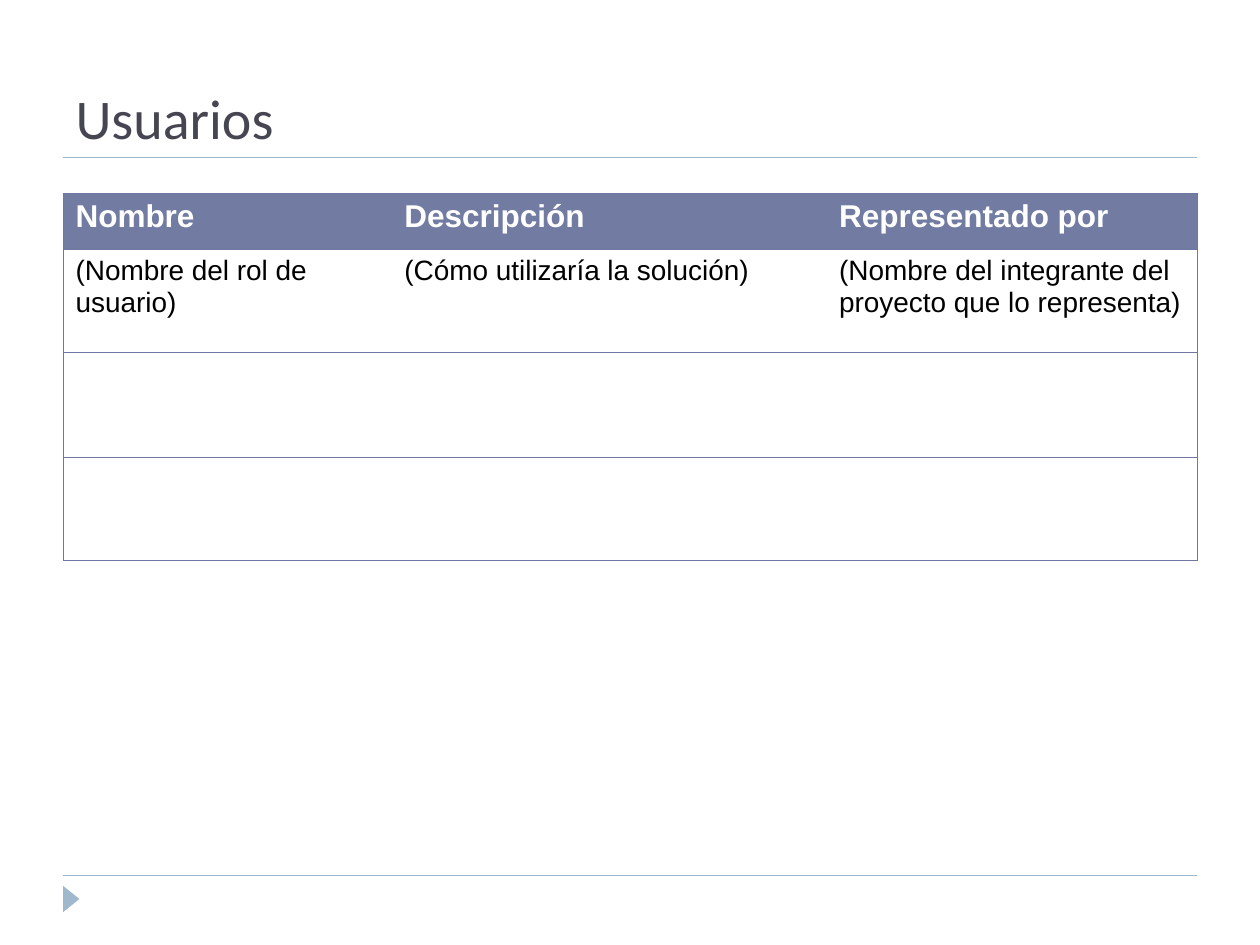
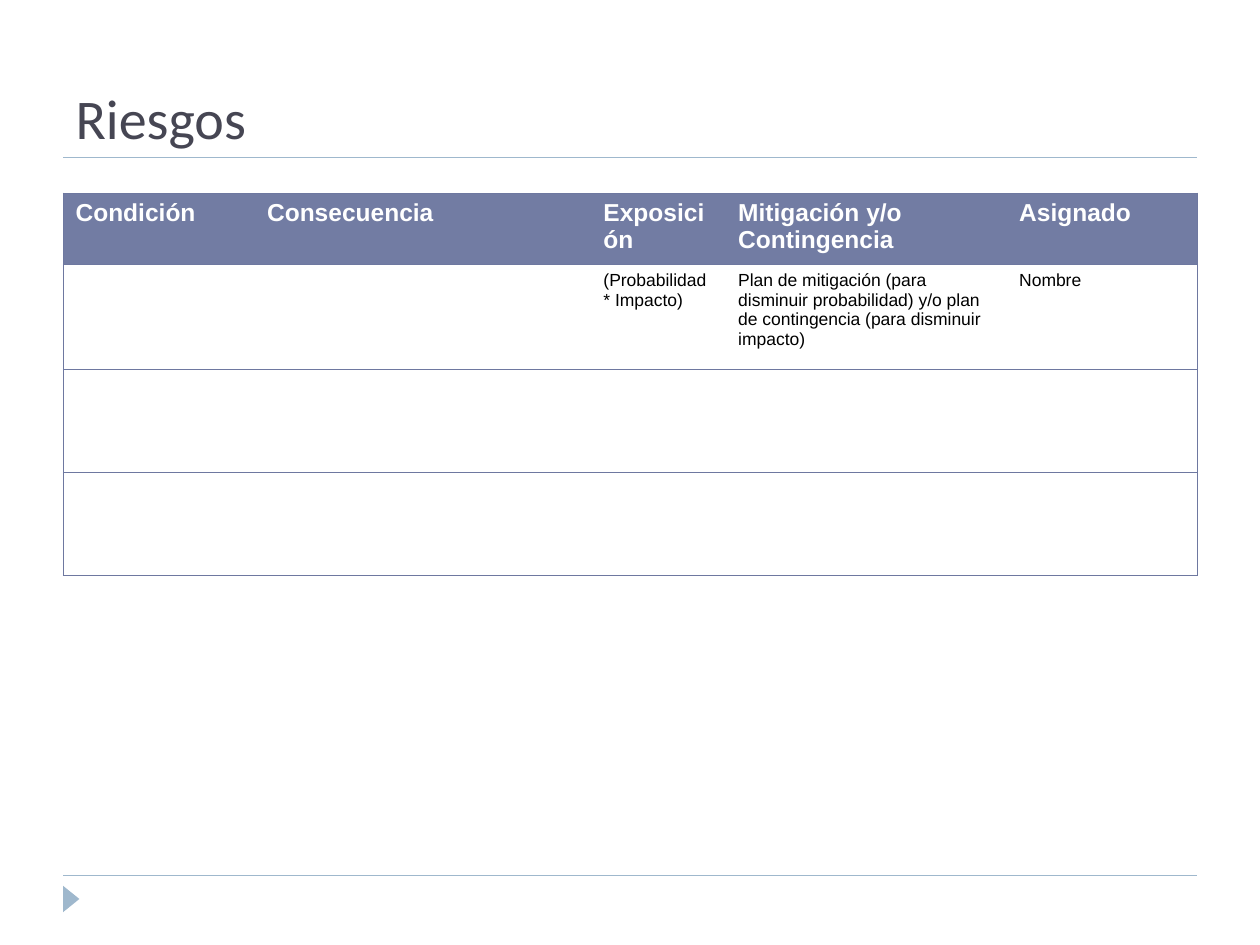
from lxml import etree
from pptx import Presentation
from pptx.dml.color import RGBColor
from pptx.enum.shapes import MSO_CONNECTOR, MSO_SHAPE
from pptx.enum.text import MSO_ANCHOR, PP_ALIGN
from pptx.oxml.ns import qn
from pptx.util import Inches, Pt

STRAIGHT = MSO_CONNECTOR.STRAIGHT
TRIANGLE = MSO_SHAPE.ISOSCELES_TRIANGLE
BOTTOM = MSO_ANCHOR.BOTTOM
LEFT = PP_ALIGN.LEFT

TITLE_ONLY = 5
MARGIN = 0.5
CONTENT_WIDTH = 9
TABLE_TOP = 1.53
TITLE_RULE = 1.25
FOOTER_RULE = 6.95
TITLE_FONT = "Calibri"
TABLE_FONT = "Arial"
TITLE_COLOR = "464653"
ACCENT = "9FB8CD"
HEADER_FILL = "727CA3"
BORDER = "6E78A0"
WHITE = "FFFFFF"
BLACK = "000000"


def rgb(value):
    return RGBColor.from_string(value)


def format_font(paragraph, name, size, color, bold=False):
    font = paragraph.font
    font.name = name
    font.size = Pt(size)
    font.bold = bold
    font.color.rgb = rgb(color)


def add_rule(slide, y):
    rule = slide.shapes.add_connector(
        STRAIGHT, Inches(MARGIN), Inches(y),
        Inches(MARGIN + CONTENT_WIDTH), Inches(y))
    rule.line.color.rgb = rgb(ACCENT)
    rule.line.width = Pt(0.75)
    etree.SubElement(rule._element.spPr, qn("a:effectLst"))


def add_footer_marker(slide):
    marker = slide.shapes.add_shape(
        TRIANGLE, Inches(0.46), Inches(7.07), Inches(0.21), Inches(0.13))
    marker.rotation = 90
    marker.shadow.inherit = False
    marker.fill.solid()
    marker.fill.fore_color.rgb = rgb(ACCENT)
    marker.line.fill.background()


def add_titled_slide(prs, heading):
    slide = prs.slides.add_slide(prs.slide_layouts[TITLE_ONLY])
    for y in (FOOTER_RULE, TITLE_RULE):
        add_rule(slide, y)
    add_footer_marker(slide)
    title = slide.shapes.title
    title.left, title.top = Inches(MARGIN), Inches(0.17)
    title.width, title.height = Inches(CONTENT_WIDTH), Inches(1.08)
    title.text_frame.text = heading
    title.text_frame.vertical_anchor = BOTTOM
    paragraph = title.text_frame.paragraphs[0]
    paragraph.alignment = LEFT
    format_font(paragraph, TITLE_FONT, 32, TITLE_COLOR)
    return slide


def set_borders(cell, visible_sides):
    properties = cell._tc.get_or_add_tcPr()
    for side in "LRTB":
        line = etree.SubElement(properties, qn(f"a:ln{side}"), w=str(Pt(0.34)))
        if side in visible_sides:
            fill = etree.SubElement(line, qn("a:solidFill"))
            etree.SubElement(fill, qn("a:srgbClr"), val=BORDER)
        else:
            etree.SubElement(line, qn("a:noFill"))


def fill_cell(cell, text, is_header, size):
    if is_header:
        cell.fill.solid()
        cell.fill.fore_color.rgb = rgb(HEADER_FILL)
    else:
        cell.fill.background()
    if text:
        cell.text = text
        color = WHITE if is_header else BLACK
        format_font(cell.text_frame.paragraphs[0], TABLE_FONT, size, color, is_header)


def add_register(slide, rows, widths, heights, header_size, body_size):
    table = slide.shapes.add_table(
        len(heights), len(widths), Inches(MARGIN), Inches(TABLE_TOP),
        Inches(CONTENT_WIDTH), Inches(sum(heights))).table
    table.horz_banding = False
    for column, width in zip(table.columns, widths):
        column.width = Inches(width)
    last = len(widths) - 1
    for r, height in enumerate(heights):
        table.rows[r].height = Inches(height)
        texts = rows[r] if r < len(rows) else [""] * len(widths)
        for c, text in enumerate(texts):
            cell = table.cell(r, c)
            sides = "TB" + ("L" if c == 0 else "") + ("R" if c == last else "")
            set_borders(cell, sides)
            fill_cell(cell, text, r == 0, header_size if r == 0 else body_size)


def main():
    prs = Presentation()
    prs.slide_width, prs.slide_height = Inches(10), Inches(7.5)

    users = add_titled_slide(prs, "Usuarios")
    add_register(
        users,
        [["Nombre", "Descripción", "Representado por"],
         ["(Nombre del rol de usuario)", "(Cómo utilizaría la solución)",
          "(Nombre del integrante del proyecto que lo representa)"]],
        [2.61, 3.45, 2.94], [0.45, 0.82, 0.83, 0.82], 18, 16)

    risks = add_titled_slide(prs, "Riesgos")
    add_register(
        risks,
        [["Condición", "Consecuencia", "Exposición",
          "Mitigación y/o Contingencia", "Asignado"],
         ["", "", "(Probabilidad * Impacto)",
          "Plan de mitigación (para disminuir probabilidad) y/o plan de "
          "contingencia (para disminuir impacto)", "Nombre"]],
        [1.52, 2.67, 1.07, 2.23, 1.51], [0.57, 0.83, 0.82, 0.82], 14, 10)

    prs.save("out.pptx")


if __name__ == "__main__":
    main()
